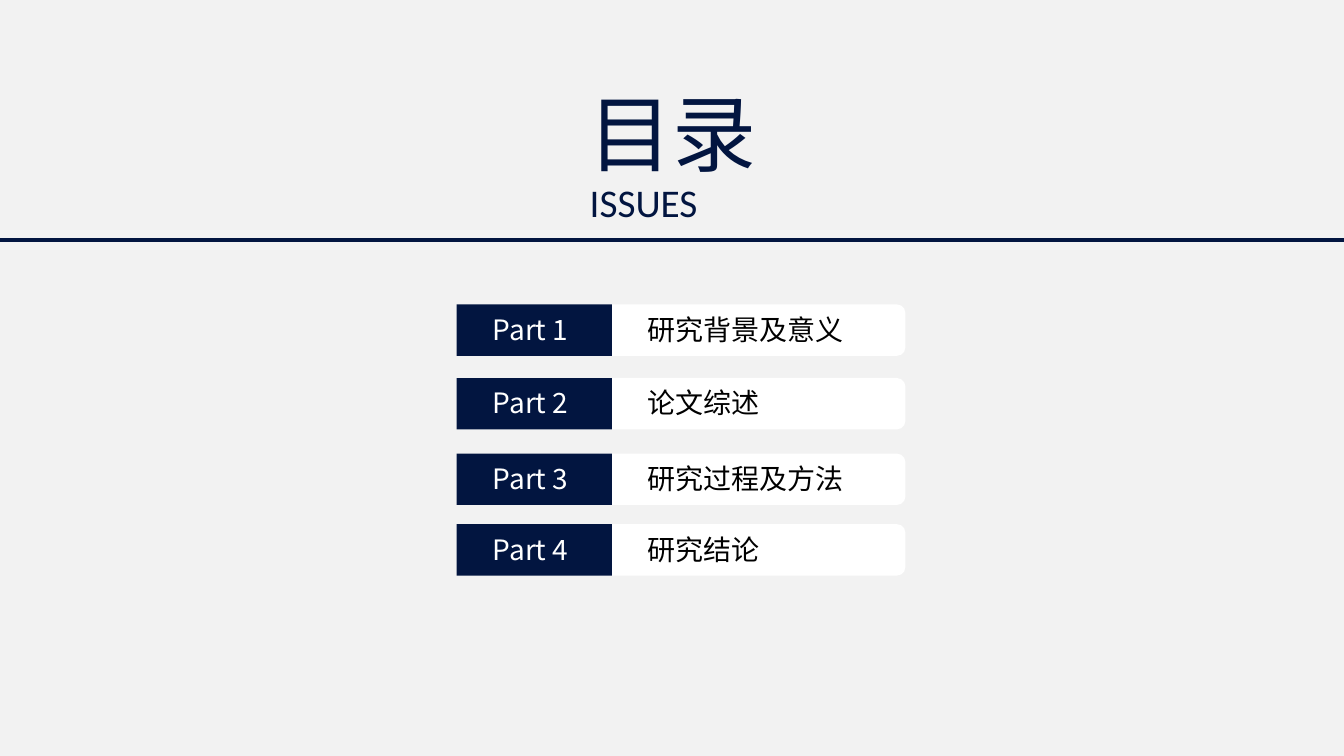
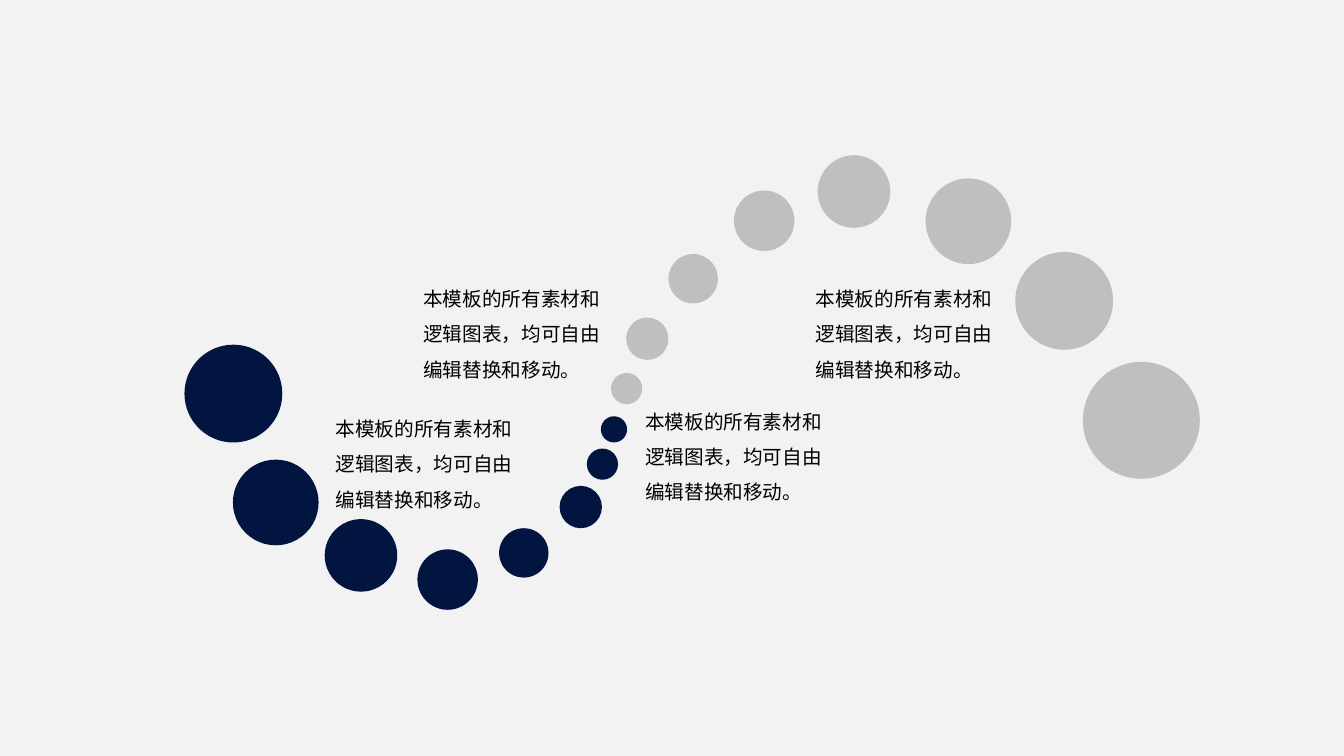
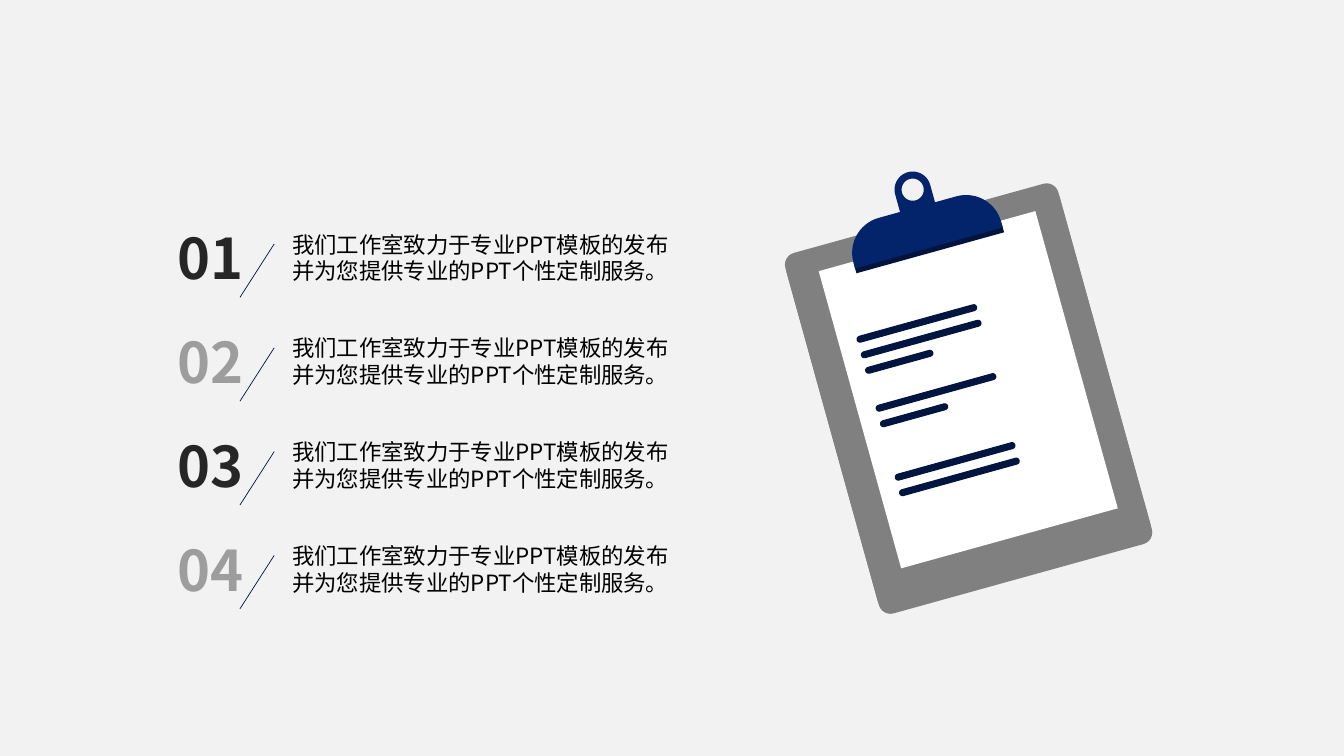
from dataclasses import dataclass
from math import cos, radians, sin

from lxml import etree
from pptx import Presentation
from pptx.dml.color import RGBColor
from pptx.enum import shapes as sh, text as tx
from pptx.oxml.ns import qn
from pptx.util import Inches, Pt


@dataclass(frozen=True)
class Theme:
    background: str = "F2F2F2"
    navy: str = "021540"
    clip: str = "03236B"
    clip_shade: str = "02143C"
    board: str = "808080"
    silver: str = "BFBFBF"
    white: str = "FFFFFF"
    black: str = "000000"
    number_dark: str = "262626"
    number_light: str = "9D9D9D"
    cjk: str = "Noto Sans CJK SC"
    latin: str = "Calibri"
    title: int = 60
    subtitle: int = 28
    number: int = 40
    item: int = 20
    body: int = 16
    note: int = 14


T = Theme()

AGENDA = [
    (3.02, "Part 1", "研究背景及意义"),
    (3.75, "Part 2", "论文综述"),
    (4.50, "Part 3", "研究过程及方法"),
    (5.20, "Part 4", "研究结论"),
]

DIAMETERS = [0.26, 0.31, 0.42, 0.49, 0.6, 0.72, 0.85, 0.97, 1.16]
NAVY_DOTS = [(5.96, 4.13), (5.82, 4.45), (5.55, 4.82), (4.95, 5.24),
             (4.14, 5.45), (3.22, 5.15), (2.31, 4.56), (1.83, 3.42)]
SILVER_DOTS = [(6.06, 3.7), (6.21, 3.15), (6.63, 2.52), (7.28, 1.89),
               (8.11, 1.54), (9.18, 1.77), (10.07, 2.5), (10.74, 3.59)]
NOTE = "本模板的所有素材和逻辑图表，均可自由编辑替换和移动。"
NOTE_BOXES = [(3.23, 3.97, 2.03), (6.3, 3.9, 2.09), (4.1, 2.68, 2.09), (7.99, 2.68, 2.09)]

SERVICE = "我们工作室致力于专业PPT模板的发布并为您提供专业的PPT个性定制服务。"
NUMBERS = ["01", "02", "03", "04"]
ROW_TOP, ROW_STEP = 2.17, 1.03

BOARD_CENTER = (9.6, 3.93)
BOARD_TILT = 15.5
WRITING = [[1.23, 1.23, 0.69], [1.23, 0.69], [1.23, 1.23]]
WRITING_LEFT, WRITING_TOP = -0.91, -0.83
LINE_STEP, GROUP_STEP = 0.16, 0.71


def rgb(color):
    return RGBColor.from_string(color)


def paint(sp, fill, line=None):
    sp.shadow.inherit = False
    sp.fill.solid()
    sp.fill.fore_color.rgb = rgb(fill)
    if line:
        sp.line.color.rgb = rgb(line)
        sp.line.width = Pt(0.75)
    else:
        sp.line.fill.background()
    return sp


def add_block(s, kind, left, top, width, height, fill, line=None):
    sp = s.shapes.add_shape(kind, Inches(left), Inches(top), Inches(width), Inches(height))
    return paint(sp, fill, line)


def add_text(s, box, words, size, color=T.black, font=T.cjk, bold=None,
             align=None, spacing=None, anchor=None):
    tb = s.shapes.add_textbox(*map(Inches, box))
    tf = tb.text_frame
    tf.word_wrap = True
    if anchor is None:
        tf.auto_size = tx.MSO_AUTO_SIZE.SHAPE_TO_FIT_TEXT
    else:
        tf.vertical_anchor = anchor
    p = tf.paragraphs[0]
    p.text = words
    p.alignment = align
    p.line_spacing = spacing
    p.font.name = font
    p.font.size = Pt(size)
    p.font.bold = bold
    p.font.color.rgb = rgb(color)
    props = p._p.get_or_add_pPr().find(qn("a:defRPr"))
    etree.SubElement(props, qn("a:ea")).set("typeface", font)


def add_line(s, start, end, width):
    cx = s.shapes.add_connector(sh.MSO_CONNECTOR.STRAIGHT, *map(Inches, start + end))
    cx.line.color.rgb = rgb(T.navy)
    cx.line.width = Pt(width)
    etree.SubElement(cx._element.spPr, qn("a:effectLst"))


def on_board(u, v):
    c, n = cos(radians(BOARD_TILT)), sin(radians(BOARD_TILT))
    x, y = BOARD_CENTER
    return x + u * c + v * n, y - u * n + v * c


def add_tilted(s, u, v, width, height, fill, radius=0, line=None):
    x, y = on_board(u, v)
    kind = sh.MSO_SHAPE.ROUNDED_RECTANGLE if radius else sh.MSO_SHAPE.RECTANGLE
    sp = add_block(s, kind, x - width / 2, y - height / 2, width, height, fill, line)
    if radius:
        sp.adjustments[0] = radius / min(width, height)
    sp.rotation = -BOARD_TILT


def arc(u, v, radius, start, end, step=6):
    return [(u + radius * cos(radians(a)), v + radius * sin(radians(a)))
            for a in range(start, end + 1, step)]


def add_outline(s, contours, fill):
    fb = None
    for contour in contours:
        first, *rest = [tuple(map(Inches, on_board(u, v))) for u, v in contour]
        if fb is None:
            fb = s.shapes.build_freeform(*first)
        else:
            fb.move_to(*first)
        fb.add_line_segments(rest, close=True)
    paint(fb.convert_to_shape(), fill)


def add_clipboard(s):
    for drop in (0.05, 0):
        add_tilted(s, 0, drop, 2.81, 3.66, T.board, radius=0.12)
    add_tilted(s, 0.02, -0.06, 2.23, 3.06, T.white)

    ring_u, ring_v, ring_r = 0.02, -2.12, 0.18
    ring = arc(ring_u, ring_v, ring_r, 180, 360)
    ring += [(ring_u + ring_r, -1.78), (ring_u - ring_r, -1.78)]
    add_outline(s, [ring, arc(ring_u, ring_v, 0.11, 0, 354)], T.clip)

    mid, half, bottom, corner = 0.02, 0.76, -1.52, 0.36
    for drop, color in ((0.05, T.clip_shade), (0, T.clip)):
        base = bottom + drop
        shoulder = base - 0.06
        body = [(mid - half, base)]
        body += arc(mid - half + corner, shoulder, corner, 180, 270)
        body += arc(mid + half - corner, shoulder, corner, 270, 360)
        body += [(mid + half, base)]
        add_outline(s, [body], color)

    for g, group in enumerate(WRITING):
        for i, length in enumerate(group):
            v = WRITING_TOP + g * GROUP_STEP + i * LINE_STEP
            add_tilted(s, WRITING_LEFT + length / 2, v, length, 0.06, T.navy,
                       radius=0.03, line=T.navy)


def build_agenda(s):
    add_text(s, (4.32, 0.77, 4.69, 1.1), "目录", T.title, T.navy,
             align=tx.PP_ALIGN.CENTER, spacing=0.9, anchor=tx.MSO_ANCHOR.BOTTOM)
    add_text(s, (5.75, 1.73, 1.85, 0.6), "ISSUES", T.subtitle, T.navy, T.latin,
             align=tx.PP_ALIGN.JUSTIFY, spacing=0.9, anchor=tx.MSO_ANCHOR.MIDDLE)
    add_line(s, (0, 2.38), (13.33, 2.38), 2.5)
    for top, part, topic in AGENDA:
        add_block(s, sh.MSO_SHAPE.ROUNDED_RECTANGLE, 5.87, top, 3.11, 0.51, T.white)
        add_block(s, sh.MSO_SHAPE.RECTANGLE, 4.53, top, 1.54, 0.51, T.navy)
        add_text(s, (6.32, top + 0.03, 2.6, 0.44), topic, T.item)
        add_text(s, (4.79, top + 0.03, 1.03, 0.44), part, T.item, T.white)


def build_wave(s):
    for dots, sizes, color in ((NAVY_DOTS, DIAMETERS[:-1], T.navy),
                               (SILVER_DOTS, DIAMETERS[1:], T.silver)):
        for (left, top), size in zip(dots, sizes):
            add_block(s, sh.MSO_SHAPE.OVAL, left, top, size, size, color)
    for left, top, width in NOTE_BOXES:
        add_text(s, (left, top, width, 1.12), NOTE, T.note, spacing=1.5)


def build_services(s):
    add_clipboard(s)
    for i, number in enumerate(NUMBERS):
        top = ROW_TOP + i * ROW_STEP
        color = T.number_light if i % 2 else T.number_dark
        add_text(s, (1.66, top, 1.17, 0.77), number, T.number, color, bold=True)
        add_line(s, (2.72, top + 0.25), (2.38, top + 0.78), 0.5)
        add_text(s, (2.8, top + 0.07, 4.03, 0.64), SERVICE, T.body)


def main():
    prs = Presentation()
    prs.slide_width, prs.slide_height = Inches(13.33), Inches(7.5)
    fill = prs.slide_master.background.fill
    fill.solid()
    fill.fore_color.rgb = rgb(T.background)
    for build in (build_agenda, build_wave, build_services):
        build(prs.slides.add_slide(prs.slide_layouts[6]))
    prs.save("out.pptx")


if __name__ == "__main__":
    main()
